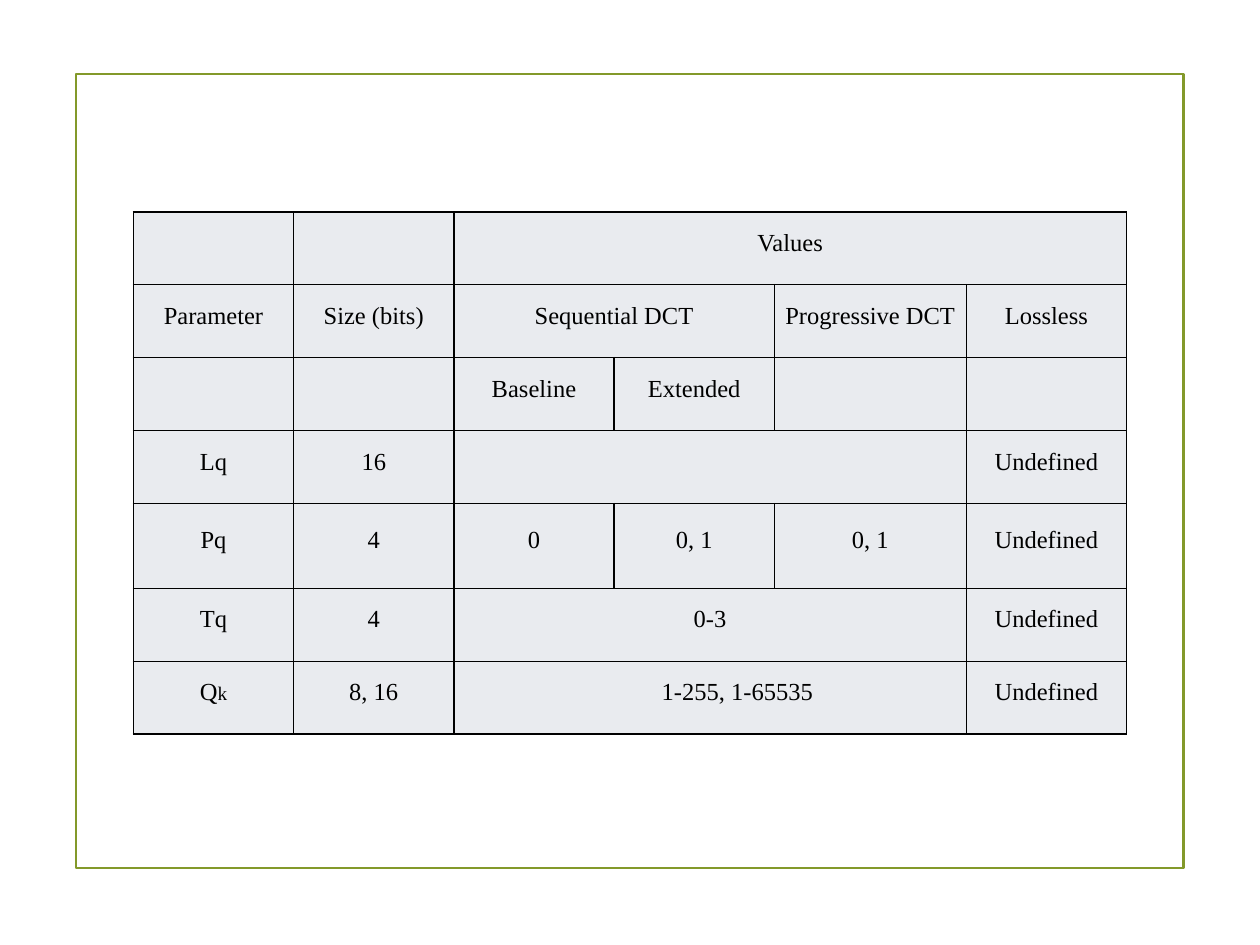
from dataclasses import dataclass

from lxml import etree
from pptx import Presentation
from pptx.dml.color import RGBColor
from pptx.enum.shapes import MSO_SHAPE
from pptx.enum.text import MSO_ANCHOR, PP_ALIGN
from pptx.oxml.ns import qn
from pptx.util import Cm, Pt

RECTANGLE = MSO_SHAPE.RECTANGLE
MIDDLE = MSO_ANCHOR.MIDDLE
CENTER = PP_ALIGN.CENTER


@dataclass(frozen=True)
class Theme:
    font: str = "Times New Roman"
    text: str = "000000"
    cell: str = "E9EBEF"
    border: str = "000000"
    frame: str = "83992A"
    body_size: float = 14
    small_size: float = 11
    line_spacing: float = 9.5
    border_width: float = 1
    frame_width: float = 1.25


THEME = Theme()

PARAMETERS = [
    ["", "", "Values", "", "", ""],
    ["Parameter", "Size (bits)", "Sequential DCT", "", "Progressive DCT", "Lossless"],
    ["", "", "Baseline", "Extended", "", ""],
    ["Lq", "16", "", "", "", "Undefined"],
    ["Pq", "4", "0", "0, 1", "0, 1", "Undefined"],
    ["Tq", "4", "0-3", "", "", "Undefined"],
    [("Q", "k"), "8, 16", "1-255, 1-65535", "", "", "Undefined"],
]
SPANS = {(0, 2): 4, (1, 2): 2, (3, 2): 3, (5, 2): 3, (6, 2): 3}
ROW_SPACING = [(4.3, 4.3)] * 3 + [(10, 10)] + [(5, 5)] * 3
CELL_SPACING = {(1, 4): (8.5, 0), (1, 5): (8.5, 0)}
CELL_INDENT = {(6, 2): 1.1}

COLUMN_WIDTHS = [3.23, 3.23, 3.23, 3.23, 3.87, 3.23]
ROW_HEIGHTS = [1.47] * 4 + [1.71] + [1.47] * 2
TABLE_LEFT, TABLE_TOP = 2.69, 4.27
FRAME_BOX = (1.54, 1.5, 22.32, 16)
SIDE_MARGIN = 0.18


def draw_borders(cell):
    properties = cell._tc.get_or_add_tcPr()
    for position, side in enumerate(("lnL", "lnR", "lnT", "lnB")):
        border = etree.Element(qn(f"a:{side}"), w=str(Pt(THEME.border_width)))
        solid = etree.SubElement(border, qn("a:solidFill"))
        etree.SubElement(solid, qn("a:srgbClr"), val=THEME.border)
        properties.insert(position, border)


def write_cell(cell, content, spacing, indent):
    cell.vertical_anchor = MIDDLE
    cell.margin_left = cell.margin_right = Cm(SIDE_MARGIN)
    cell.margin_top = cell.margin_bottom = 0
    paragraph = cell.text_frame.paragraphs[0]
    paragraph.alignment = CENTER
    paragraph.line_spacing = Pt(THEME.line_spacing)
    paragraph.space_before, paragraph.space_after = map(Pt, spacing)
    if indent:
        paragraph._p.get_or_add_pPr().set("marL", str(Cm(indent)))
    pieces = content if isinstance(content, tuple) else (content,)
    for piece, size in zip(pieces, (THEME.body_size, THEME.small_size)):
        run = paragraph.add_run()
        run.text = piece
        run.font.name = THEME.font
        run.font.size = Pt(size)
        run.font.color.rgb = RGBColor.from_string(THEME.text)


def add_frame(slide):
    frame = slide.shapes.add_shape(RECTANGLE, *map(Cm, FRAME_BOX))
    frame.shadow.inherit = False
    frame.fill.background()
    frame.line.color.rgb = RGBColor.from_string(THEME.frame)
    frame.line.width = Pt(THEME.frame_width)


def add_parameter_table(slide):
    table = slide.shapes.add_table(
        len(ROW_HEIGHTS), len(COLUMN_WIDTHS), Cm(TABLE_LEFT), Cm(TABLE_TOP),
        Cm(sum(COLUMN_WIDTHS)), Cm(sum(ROW_HEIGHTS)),
    ).table
    table.first_row = table.horz_banding = False
    for column, width in zip(table.columns, COLUMN_WIDTHS):
        column.width = Cm(width)
    for row, height in zip(table.rows, ROW_HEIGHTS):
        row.height = Cm(height)
    for (r, c), span in SPANS.items():
        table.cell(r, c).merge(table.cell(r, c + span - 1))
    for r, parameter in enumerate(PARAMETERS):
        for c, content in enumerate(parameter):
            cell = table.cell(r, c)
            cell.fill.solid()
            cell.fill.fore_color.rgb = RGBColor.from_string(THEME.cell)
            draw_borders(cell)
            if content:
                spacing = CELL_SPACING.get((r, c), ROW_SPACING[r])
                write_cell(cell, content, spacing, CELL_INDENT.get((r, c)))


def main():
    presentation = Presentation()
    presentation.slide_width, presentation.slide_height = Cm(25.4), Cm(19.05)
    slide = presentation.slides.add_slide(presentation.slide_layouts[6])
    add_frame(slide)
    add_parameter_table(slide)
    presentation.save("out.pptx")


if __name__ == "__main__":
    main()
